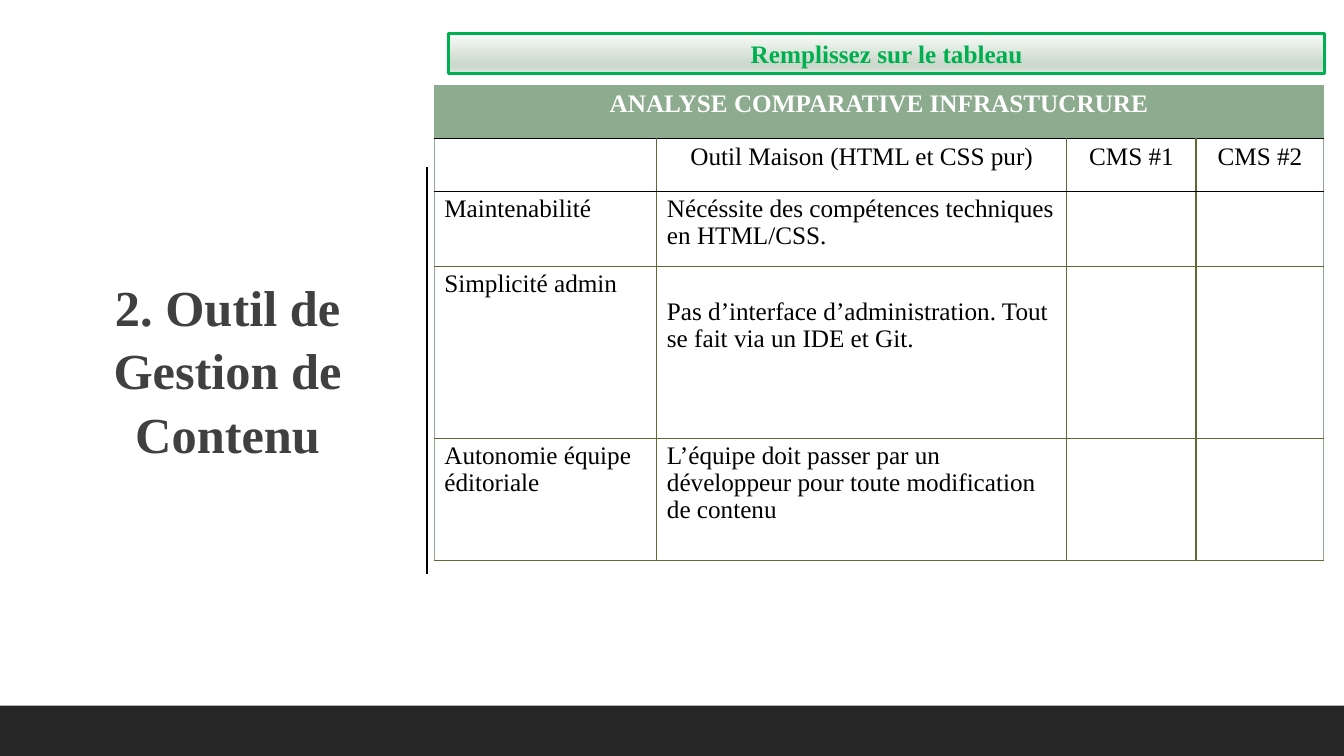
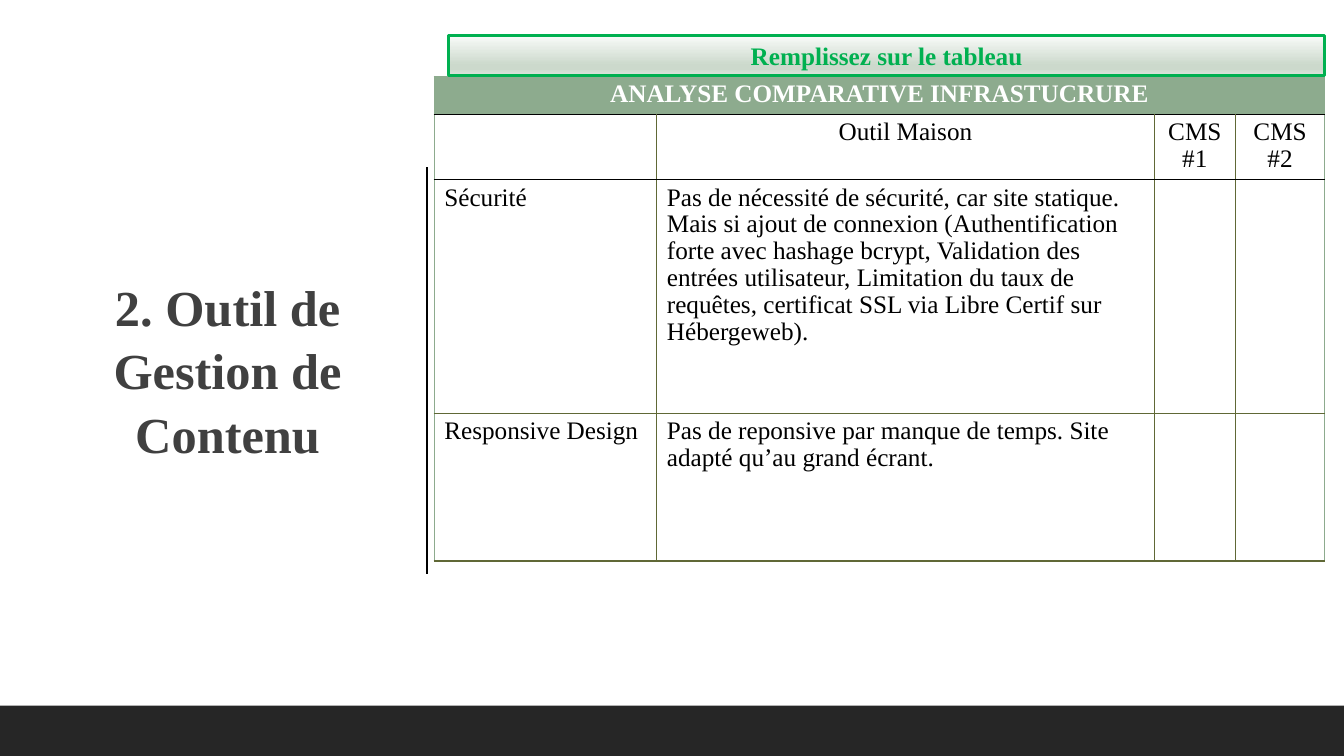
from dataclasses import dataclass
from lxml.etree import SubElement
from pptx import Presentation
from pptx.dml.color import RGBColor
from pptx.enum.shapes import MSO_CONNECTOR, MSO_SHAPE
from pptx.enum.text import MSO_ANCHOR, MSO_AUTO_SIZE, PP_ALIGN
from pptx.oxml.ns import qn
from pptx.util import Emu, Inches, Pt

GRID_COLUMNS, GRID_ROWS = 160, 90
SLIDE_WIDTH, SLIDE_HEIGHT = Emu(12192000), Emu(6858000)
TITLE_ONLY = 5


@dataclass(frozen=True)
class Theme:
    font: str = "Times New Roman"
    title_size: int = 36
    text_size: int = 18
    paper: str = "FFFFFF"
    ink: str = "000000"
    title: str = "404040"
    band: str = "262626"
    sage: str = "8DAB8E"
    olive: str = "606836"
    green: str = "00B050"
    banner_stops: tuple[tuple[int, str], ...] = (
        (0, "F9FBF9"), (74, "CCD9CC"), (83, "CCD9CC"), (100, "DDE6DD"))


@dataclass(frozen=True)
class Area:
    column: float
    row: float
    columns: float
    rows: float

    def lengths(self) -> tuple[Emu, Emu, Emu, Emu]:
        return across(self.column), down(self.row), across(self.columns), down(self.rows)


@dataclass(frozen=True)
class Comparison:
    banner_row: float
    table_row: float
    columns: tuple[float, ...]
    rows: tuple[float, ...]
    headings: tuple[str, ...]
    criteria: tuple[tuple[str, str], ...]
    lowered_row: int | None = None


THEME = Theme()
TITLE = "2. Outil de Gestion de Contenu"
BANNER = "Remplissez sur le tableau"
TABLE_HEADING = "ANALYSE COMPARATIVE INFRASTUCRURE"
TABLE_COLUMN = 51.7
TITLE_AREA = Area(4.4, 20.5, 44.2, 46.6)
BAND_AREA = Area(0, 84, GRID_COLUMNS, 6)

COMPARISONS = (
    Comparison(
        4, 10.2, (26.5, 48.8, 15.4, 15.2), (6.3, 6.3, 8.9, 20.5, 14.5),
        ("", "Outil Maison (HTML et CSS pur)", "CMS #1", "CMS #2"),
        (("Maintenabilité", "Nécéssite des compétences techniques en HTML/CSS."),
         ("Simplicité admin",
          "Pas d’interface d’administration. Tout se fait via un IDE et Git."),
         ("Autonomie équipe éditoriale",
          "L’équipe doit passer par un développeur pour toute modification de contenu")),
        lowered_row=3),
    Comparison(
        4.2, 9.1, (26.5, 59.2, 9.7, 10.6), (4.5, 7.8, 27.8, 17.6),
        ("", "Outil Maison", "CMS #1", "CMS #2"),
        (("Sécurité",
          "Pas de nécessité de sécurité, car site statique. Mais si ajout de connexion "
          "(Authentification forte avec hashage bcrypt, Validation des entrées utilisateur, "
          "Limitation du taux de requêtes, certificat SSL via Libre Certif sur Hébergeweb)."),
         ("Responsive Design",
          "Pas de reponsive par manque de temps. Site adapté qu’au grand écrant."))),
)


def across(columns: float) -> Emu:
    return Emu(round(SLIDE_WIDTH * columns / GRID_COLUMNS))


def down(rows: float) -> Emu:
    return Emu(round(SLIDE_HEIGHT * rows / GRID_ROWS))


def rgb(color: str) -> RGBColor:
    return RGBColor.from_string(color)


def write(frame, text: str, size: int, color: str, bold: bool = False,
          align: PP_ALIGN = PP_ALIGN.LEFT, spacing: float = 1.0) -> None:
    frame.text = text
    para = frame.paragraphs[0]
    para.alignment = align
    para.line_spacing = spacing
    for span in para.runs:
        span.font.name = THEME.font
        span.font.size = Pt(size)
        span.font.bold = bold
        span.font.color.rgb = rgb(color)


def add_box(page, area: Area):
    box = page.shapes.add_shape(MSO_SHAPE.RECTANGLE, *area.lengths())
    box.shadow.inherit = False
    return box


def move_to_layout(shape, layout, number: int) -> None:
    next(shape.element.iter(qn("p:cNvPr"))).set("id", str(number))
    layout.shapes.element.append(shape.element)


def dress_layout(page) -> None:
    layout = page.slide_layout
    band = add_box(page, BAND_AREA)
    band.fill.solid()
    band.fill.fore_color.rgb = rgb(THEME.band)
    band.line.fill.background()
    divider = page.shapes.add_connector(
        MSO_CONNECTOR.STRAIGHT, across(50.8), down(19.9), across(50.8), down(68.3))
    divider.line.color.rgb = rgb(THEME.ink)
    divider.line.width = Pt(1.5)
    SubElement(divider.element.spPr, qn("a:effectLst"))
    for number, shape in enumerate((band, divider), start=101):
        move_to_layout(shape, layout, number)


def add_title(page) -> None:
    title = page.shapes.title
    title.left, title.top, title.width, title.height = TITLE_AREA.lengths()
    frame = title.text_frame
    frame.word_wrap = True
    frame.auto_size = MSO_AUTO_SIZE.NONE
    frame.vertical_anchor = MSO_ANCHOR.MIDDLE
    frame.margin_left = frame.margin_right = 0
    write(frame, TITLE, THEME.title_size, THEME.title, True, PP_ALIGN.CENTER, 1.05)
    properties = frame.paragraphs[0]._p.get_or_add_pPr()
    properties.set("marL", str(Inches(0.1)))
    properties.set("indent", "0")


def fill_gradient(shape, stops: tuple[tuple[int, str], ...]) -> None:
    shape.fill.gradient()
    gradient = shape.element.spPr.find(qn("a:gradFill"))
    for child in list(gradient):
        gradient.remove(child)
    stop_list = SubElement(gradient, qn("a:gsLst"))
    for percent, color in stops:
        stop = SubElement(stop_list, qn("a:gs"), pos=str(percent * 1000))
        SubElement(stop, qn("a:srgbClr"), val=color)
    SubElement(gradient, qn("a:lin"), ang="5400000", scaled="0")


def add_banner(page, row: float) -> None:
    banner = add_box(page, Area(53.4, row, 104.3, 4.8))
    fill_gradient(banner, THEME.banner_stops)
    banner.line.color.rgb = rgb(THEME.green)
    banner.line.width = Pt(2.25)
    frame = banner.text_frame
    frame.word_wrap = True
    frame.auto_size = MSO_AUTO_SIZE.SHAPE_TO_FIT_TEXT
    write(frame, BANNER, THEME.text_size, THEME.green, True, PP_ALIGN.CENTER)


def set_borders(cell, colors: dict[str, str]) -> None:
    properties = cell._tc.get_or_add_tcPr()
    for position, (side, color) in enumerate(colors.items()):
        line = SubElement(properties, qn(f"a:{side}"), w=str(Pt(1)))
        SubElement(SubElement(line, qn("a:solidFill")), qn("a:srgbClr"), val=color)
        properties.insert(position, line)


def border_colors(row: int, column: int, last_column: int) -> dict[str, str]:
    heading = row == 0
    return {
        "lnL": THEME.sage if heading or column == 0 else THEME.olive,
        "lnR": THEME.sage if heading or column == last_column else THEME.olive,
        "lnT": THEME.sage if heading else THEME.ink if row <= 2 else THEME.olive,
        "lnB": THEME.ink if row <= 1 else THEME.olive,
    }


def add_comparison_table(page, comparison: Comparison) -> None:
    area = Area(TABLE_COLUMN, comparison.table_row,
                sum(comparison.columns), sum(comparison.rows))
    last_column = len(comparison.columns) - 1
    table = page.shapes.add_table(
        len(comparison.rows), len(comparison.columns), *area.lengths()).table
    table.first_row = table.horz_banding = False
    for column, width in zip(table.columns, comparison.columns):
        column.width = across(width)
    for row, height in zip(table.rows, comparison.rows):
        row.height = down(height)
    table.cell(0, 0).merge(table.cell(0, last_column))
    texts = ((TABLE_HEADING,), comparison.headings, *comparison.criteria)
    for row_index, row in enumerate(table.rows):
        heading = row_index == 0
        for column_index, cell in enumerate(row.cells):
            cell.fill.solid()
            cell.fill.fore_color.rgb = rgb(THEME.sage if heading else THEME.paper)
            set_borders(cell, border_colors(row_index, column_index, last_column))
            if row_index == comparison.lowered_row and column_index == 1:
                cell.margin_top = Inches(0.33)
            if column_index < len(texts[row_index]):
                write(cell.text_frame, texts[row_index][column_index], THEME.text_size,
                      THEME.paper if heading else THEME.ink, heading,
                      PP_ALIGN.CENTER if row_index <= 1 else PP_ALIGN.LEFT, 0.96)


def main() -> None:
    deck = Presentation()
    deck.slide_width, deck.slide_height = SLIDE_WIDTH, SLIDE_HEIGHT
    layout = deck.slide_layouts[TITLE_ONLY]
    for index, comparison in enumerate(COMPARISONS):
        page = deck.slides.add_slide(layout)
        if index == 0:
            dress_layout(page)
        add_title(page)
        add_comparison_table(page, comparison)
        add_banner(page, comparison.banner_row)
    deck.save("out.pptx")


if __name__ == "__main__":
    main()
